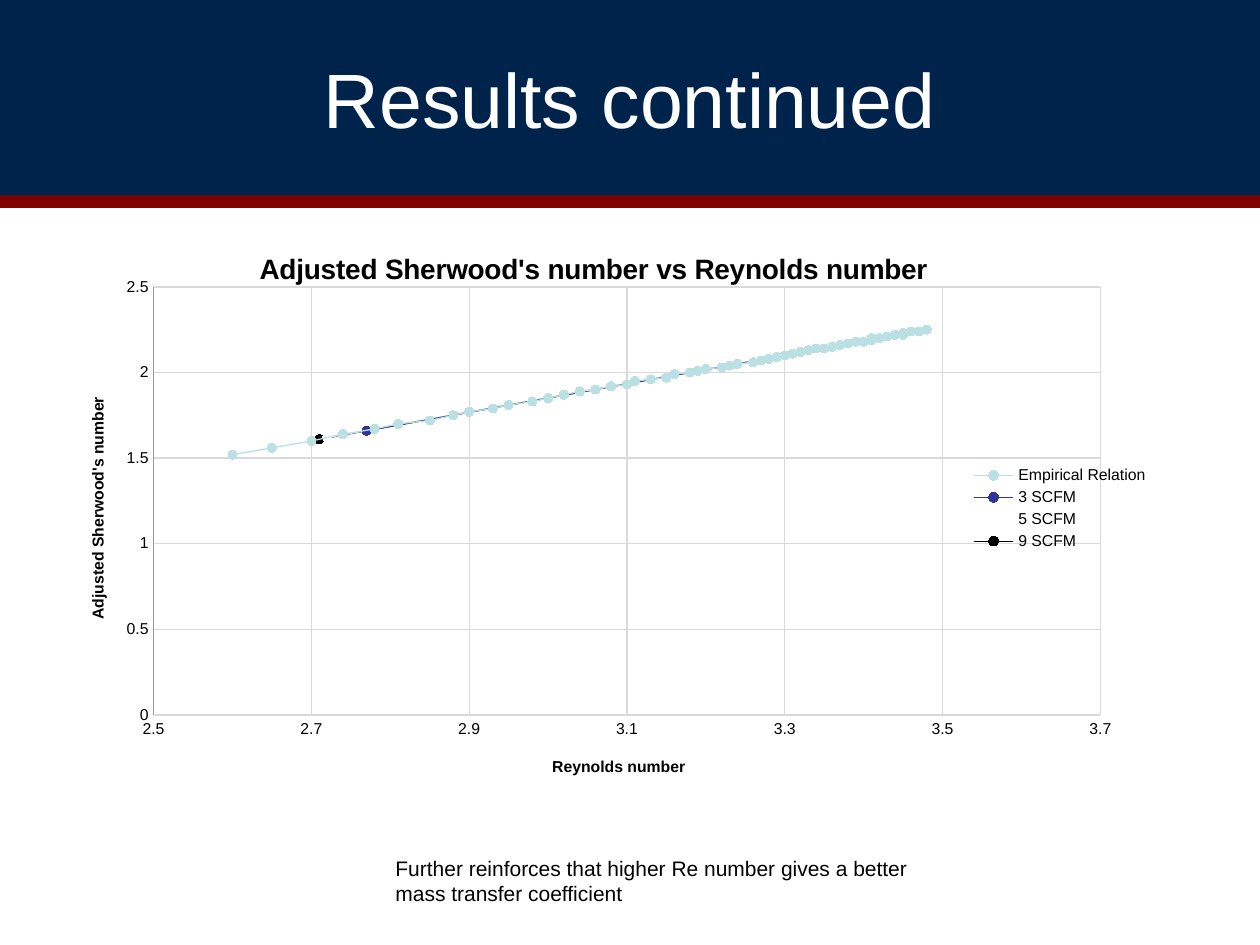
import math
import lxml.etree
import pptx
import pptx.chart.data
import pptx.dml.color
import pptx.enum.chart
import pptx.enum.shapes
import pptx.enum.text
import pptx.oxml
import pptx.oxml.ns
import pptx.util

Pt = pptx.util.Pt
qn = pptx.oxml.ns.qn


def color(fmt, hex_string):
    if hasattr(fmt, "solid"):
        fmt.solid()
        fmt = fmt.fore_color
    fmt.rgb = pptx.dml.color.RGBColor.from_string(hex_string)


def place(parent, index, inner=False, **sizes):
    for old in parent.findall(qn("c:layout")):
        parent.remove(old)
    layout = lxml.etree.Element(qn("c:layout"))
    manual = lxml.etree.SubElement(layout, qn("c:manualLayout"))
    if inner:
        lxml.etree.SubElement(manual, qn("c:layoutTarget")).set("val", "inner")
    for key in ("x", "y"):
        lxml.etree.SubElement(manual, qn(f"c:{key}Mode")).set("val", "edge")
    for key, value in sizes.items():
        lxml.etree.SubElement(manual, qn(f"c:{key}")).set("val", str(value))
    parent.insert(index, layout)


prs = pptx.Presentation()
prs.slide_width, prs.slide_height = Pt(720), Pt(540)
s = prs.slides.add_slide(prs.slide_layouts[5])
color(s.background.fill, "FFFFFF")

title = s.shapes.title
title.left, title.top, title.width, title.height = Pt(0), Pt(0), Pt(720), Pt(111.6)
color(title.fill, "00234C")
tf = title.text_frame
tf.text = "Results continued"
tf.vertical_anchor = pptx.enum.text.MSO_ANCHOR.MIDDLE
p = tf.paragraphs[0]
p.alignment = pptx.enum.text.PP_ALIGN.CENTER
p.font.size, p.font.name = Pt(44), "Arial"
color(p.font.color, "FFFFFF")

rule = s.shapes.add_connector(
    pptx.enum.shapes.MSO_CONNECTOR.STRAIGHT, Pt(0), Pt(113.8), Pt(720), Pt(113.8))
rule.line.width = Pt(10)
color(rule.line.fill, "800000")
lxml.etree.SubElement(rule._element.spPr, qn("a:effectLst"))
title._element.addprevious(rule._element)

log_re = [math.log10(re) for re in range(400, 3001, 50)]
series = [
    ("Empirical Relation", "BBE0E3", "B9E2E5",
     [(round(x, 2), round(0.83 * x - 0.638, 2)) for x in log_re]),
    ("3 SCFM", "333399", "2E2E9E", [(2.77, 1.66), (3.24, 2.05), (3.47, 2.24)]),
    ("5 SCFM", "FFFFFF", "FFFFFF", [(2.72, 1.62), (3.2, 2.02), (3.42, 2.2)]),
    ("9 SCFM", "000000", "000000", [(2.71, 1.61), (3.19, 2.01), (3.41, 2.19)]),
]
data = pptx.chart.data.XyChartData()
for name, _, _, points in series:
    ser = data.add_series(name)
    for x, y in points:
        ser.add_data_point(x, y)
chart = s.shapes.add_chart(
    pptx.enum.chart.XL_CHART_TYPE.XY_SCATTER_SMOOTH,
    Pt(15.84), Pt(127.44), Pt(648), Pt(326.16), data).chart
chart.font.size, chart.font.name = Pt(10), "Arial"
color(chart.font.color, "000000")
chart.plots[0].vary_by_categories = False
place(chart._chartSpace.chart.plotArea, 0, inner=True, x=0.111, y=0.112, w=0.835, h=0.75)

for ser, (_, line, marker, _) in zip(chart.plots[0].series, series):
    ser.smooth = True
    ser.format.line.width = Pt(0.75)
    color(ser.format.line.fill, line)
    ser.marker.style = pptx.enum.chart.XL_MARKER_STYLE.CIRCLE
    ser.marker.size = 5
    color(ser.marker.format.fill, marker)
    color(ser.marker.format.line.fill, marker)

x_axis, y_axis = chart.category_axis, chart.value_axis
for axis, low, high, step, line in [
    (x_axis, 2.5, 3.7, 0.2, "D9D9D9"),
    (y_axis, 0, 2.5, 0.5, "999999"),
]:
    axis.minimum_scale, axis.maximum_scale, axis.major_unit = low, high, step
    axis.major_tick_mark = axis.minor_tick_mark = pptx.enum.chart.XL_TICK_MARK.NONE
    axis.has_major_gridlines = True
    for fmt, hex_string in [(axis.format, line), (axis.major_gridlines.format, "D9D9D9")]:
        fmt.line.width = Pt(0.75)
        color(fmt.line.fill, hex_string)
    labels = axis.tick_labels
    labels.number_format, labels.number_format_is_linked = "General", False
    labels.font.size, labels.font.name = Pt(9), "Arial"
    color(labels.font.color, "000000")

for owner, text, size, x, y in [
    (chart, "Adjusted Sherwood's number vs Reynolds number", 16, 0.2, 0.04),
    (x_axis, "Reynolds number", 9, 0.46, 0.93),
    (y_axis, "Adjusted Sherwood's number", 9, 0.05, 0.3),
]:
    owner.has_title = True
    heading = owner.chart_title if owner is chart else owner.axis_title
    heading.text_frame.text = text
    p = heading.text_frame.paragraphs[0]
    p.font.size, p.font.name, p.font.bold = Pt(size), "Arial", True
    color(p.font.color, "000000")
    place(heading._element, 1, x=x, y=y)

chart.has_legend = True
legend = chart.legend
legend.position = pptx.enum.chart.XL_LEGEND_POSITION.RIGHT
legend.include_in_layout = False
legend.font.size, legend.font.name = Pt(9), "Arial"
color(legend.font.color, "000000")
place(legend._element, 1, x=0.83, y=0.42, w=0.16, h=0.16)

note = s.shapes.add_textbox(Pt(218.9), Pt(485.3), Pt(322.6), Pt(36))
tf = note.text_frame
tf.word_wrap = True
tf.auto_size = pptx.enum.text.MSO_AUTO_SIZE.SHAPE_TO_FIT_TEXT
tf.text = "Further reinforces that higher Re number gives a better mass transfer coefficient"
p = tf.paragraphs[0]
p.font.size, p.font.name = Pt(12), "Arial"
color(p.font.color, "000000")

prs.save("out.pptx")
